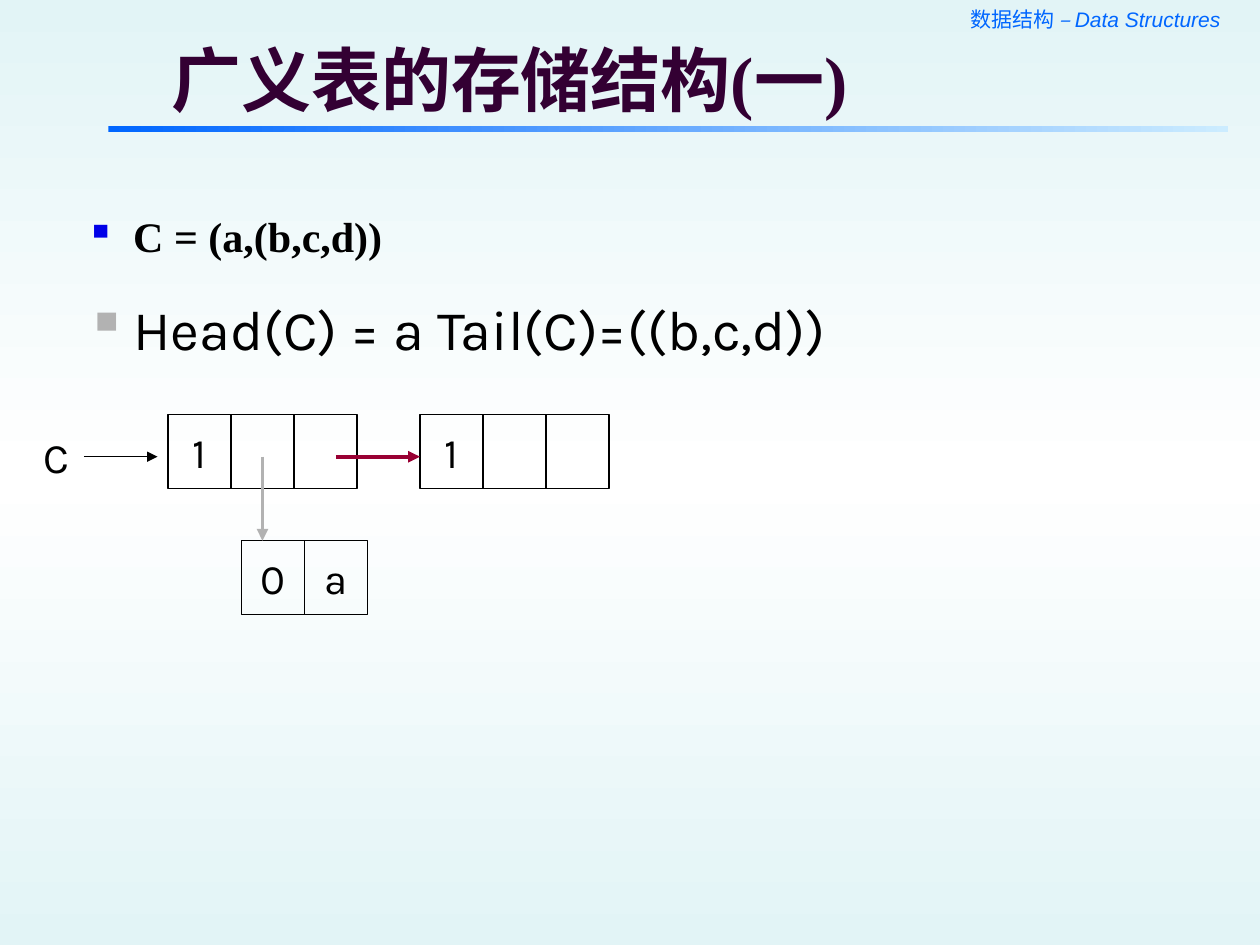
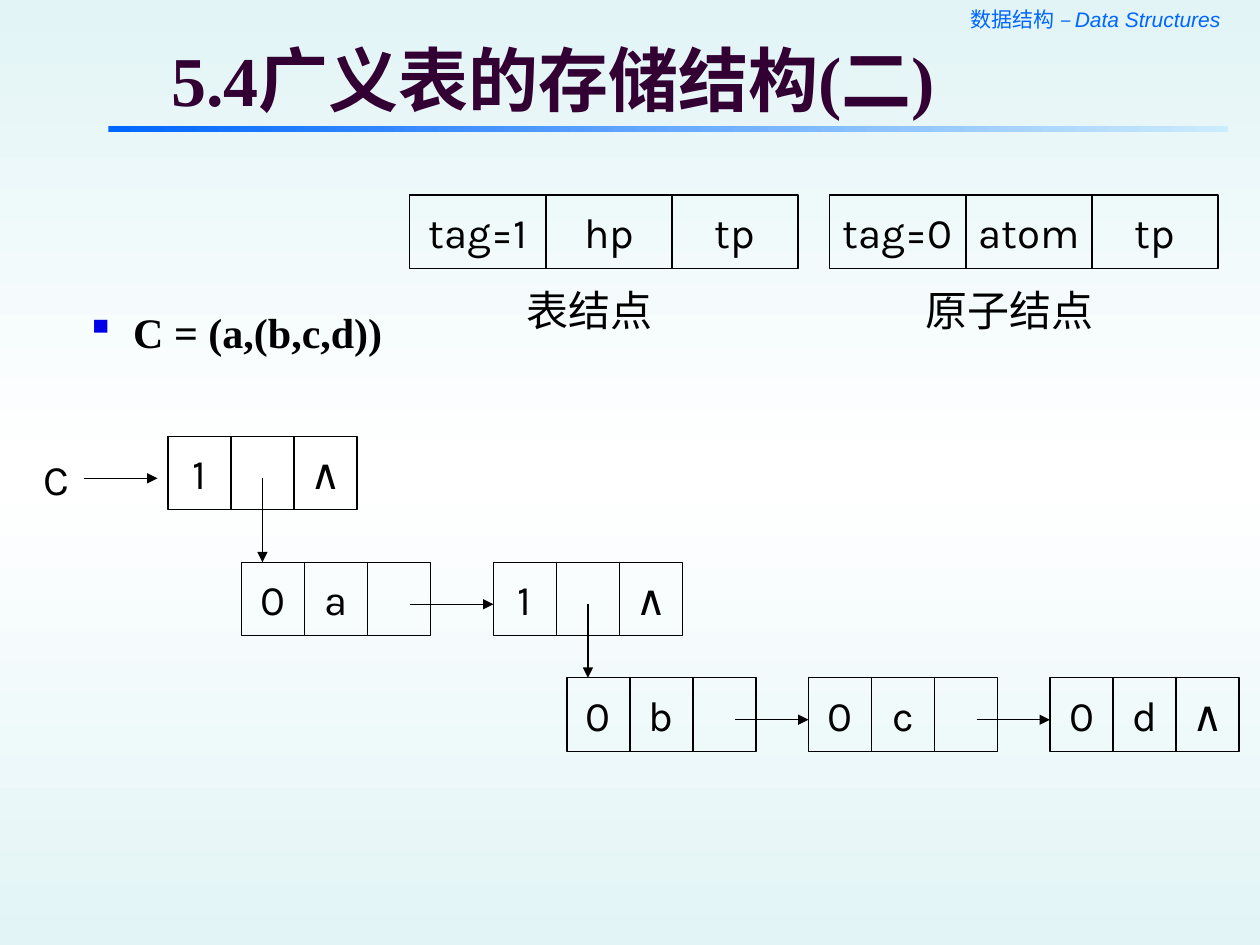
"""Two slides on how generalized lists are stored as linked nodes."""
import copy

import pptx
import pptx.dml.color
import pptx.enum.shapes
import pptx.enum.text
import pptx.oxml
import pptx.oxml.ns
import pptx.util

Pt = pptx.util.Pt
RGBColor = pptx.dml.color.RGBColor
ALIGN = pptx.enum.text.PP_ALIGN
MIDDLE = pptx.enum.text.MSO_ANCHOR.MIDDLE
RECTANGLE = pptx.enum.shapes.MSO_SHAPE.RECTANGLE
STRAIGHT = pptx.enum.shapes.MSO_CONNECTOR.STRAIGHT
qn = pptx.oxml.ns.qn

BLACK = RGBColor(0x00, 0x00, 0x00)
WHITE = RGBColor(0xFF, 0xFF, 0xFF)
PALE_TEAL = RGBColor(0xE2, 0xF4, 0xF6)
PALE_BLUE = RGBColor(0xCC, 0xEC, 0xFF)
BLUE = RGBColor(0x00, 0x66, 0xFF)
BULLET_BLUE = RGBColor(0x00, 0x00, 0xE8)
PURPLE = RGBColor(0x33, 0x00, 0x33)
GRAY = RGBColor(0xB2, 0xB2, 0xB2)
CRIMSON = RGBColor(0x99, 0x00, 0x33)

BODY_FONT = "Karla"
SERIF_FONT = "Times New Roman"
CELL_WIDTH, CELL_HEIGHT = 36, 42
POINTER_DROP = 24
NODE_WIDTHS = [CELL_WIDTH] * 3
RECORD_WIDTHS = [78, 72, 72]


def write(shape, text, name=BODY_FONT, size=24, color=BLACK, bold=False):
    """Put one formatted paragraph into a shape and return it."""
    frame = shape.text_frame
    frame.text = text
    paragraph = frame.paragraphs[0]
    for run in paragraph.runs:
        run.font.name = name
        run.font.size = Pt(size)
        run.font.color.rgb = color
        run.font.bold = bold
    return paragraph


def add_element(parent, tag, **attributes):
    """Append a DrawingML element to a parent and return it."""
    element = pptx.oxml.parse_xml(f"<a:{tag} {pptx.oxml.ns.nsdecls('a')}/>")
    for key, value in attributes.items():
        element.set(key, str(value))
    parent.append(element)
    return element


slides = [
    {
        "title": "广义表的存储结构(一)",
        "bullets": [
            ("C = (a,(b,c,d))", 117, SERIF_FONT, 24, True, BULLET_BLUE, 95000),
            ("Head(C) = a Tail(C)=((b,c,d))", 165, BODY_FONT, 32, False, GRAY, 100000),
        ],
        "labels": [("C", 18, 243, 30)],
        "nodes": [
            (96, 237, NODE_WIDTHS, ["1", "", ""]),
            (240, 237, NODE_WIDTHS, ["1", "", ""]),
            (138, 309, NODE_WIDTHS, ["0", "a"]),
        ],
        "arrows": [
            (48, 237, 42, 0, BLACK, 0.75),
            (150, 237, 0, 48, GRAY, 2.25),
            (192, 237, 48, 0, CRIMSON, 2.25),
        ],
    },
    {
        "title": "5.4广义表的存储结构(二)",
        "bullets": [
            ("C = (a,(b,c,d))", 171.5, SERIF_FONT, 24, True, BULLET_BLUE, 95000),
        ],
        "labels": [
            ("表结点", 294, 159, 90),
            ("原子结点", 522, 159, 114),
            ("C", 18, 255.5, 30),
        ],
        "nodes": [
            (234, 111.5, RECORD_WIDTHS, ["tag=1", "hp", "tp"]),
            (474, 111.5, RECORD_WIDTHS, ["tag=0", "atom", "tp"]),
            (96, 249.3, NODE_WIDTHS, ["1", "", "∧"]),
            (138, 321.3, NODE_WIDTHS, ["0", "a", ""]),
            (282, 321.3, NODE_WIDTHS, ["1", "", "∧"]),
            (324, 387.3, NODE_WIDTHS, ["0", "b", ""]),
            (462, 387.3, NODE_WIDTHS, ["0", "c", ""]),
            (600, 387.3, NODE_WIDTHS, ["0", "d", "∧"]),
        ],
        "arrows": [
            (48, 249.3, 42, 0, BLACK, 0.75),
            (150, 249.3, 0, 48, BLACK, 0.75),
            (234, 321.3, 48, 0, BLACK, 0.75),
            (336, 321.3, 0, 42, BLACK, 0.75),
            (420, 387.3, 42, 0, BLACK, 0.75),
            (558, 387.3, 42, 0, BLACK, 0.75),
        ],
    },
]

presentation = pptx.Presentation()
presentation.slide_width, presentation.slide_height = Pt(720), Pt(540)

master = presentation.slide_master
background = master.background.fill
background.gradient()
background.gradient_angle = 90
stop_list = master.element.find(".//" + qn("p:bg")).find(".//" + qn("a:gsLst"))
stop_list.insert(1, copy.deepcopy(stop_list[0]))
for stop, position, color in zip(
    background.gradient_stops, (0, 0.5, 1), (PALE_TEAL, WHITE, PALE_TEAL)
):
    stop.position = position
    stop.color.rgb = color

for content in slides:
    slide = presentation.slides.add_slide(presentation.slide_layouts[5])
    shapes = slide.shapes

    header = shapes.add_textbox(Pt(432), Pt(0), Pt(276), Pt(21.6))
    header.text_frame.word_wrap = True
    header.text_frame.margin_right = Pt(10.5)
    paragraph = write(header, "数据结构 ", SERIF_FONT, 12, BLUE)
    paragraph.alignment = ALIGN.RIGHT
    course = paragraph.add_run()
    course.text = "– Data Structures"
    course.font.name = "Arial"
    course.font.size = Pt(12)
    course.font.italic = True
    course.font.color.rgb = BLUE

    band = shapes.add_shape(RECTANGLE, Pt(62), Pt(72), Pt(640), Pt(3.6))
    band.shadow.inherit = False
    band.line.fill.background()
    band.fill.gradient()
    band.fill.gradient_angle = 0
    for stop, color in zip(band.fill.gradient_stops, (BLUE, PALE_BLUE)):
        stop.color.rgb = color

    title = shapes.title
    title.left, title.top, title.width, title.height = Pt(90.7), Pt(21), Pt(593.3), Pt(48)
    title.text_frame.auto_size = pptx.enum.text.MSO_AUTO_SIZE.NONE
    title.text_frame.vertical_anchor = MIDDLE
    title.text_frame.margin_top = title.text_frame.margin_bottom = Pt(3)
    paragraph = write(title, content["title"], SERIF_FONT, 40, PURPLE, True)
    paragraph.alignment = ALIGN.LEFT

    for text, top, font_name, size, bold, bullet_color, bullet_size in content["bullets"]:
        box = shapes.add_textbox(Pt(42), Pt(top), Pt(660), Pt(50))
        box.text_frame.word_wrap = True
        paragraph = write(box, text, font_name, size, BLACK, bold)
        properties = paragraph._p.get_or_add_pPr()
        properties.set("marL", str(Pt(27)))
        properties.set("indent", str(-Pt(27)))
        add_element(add_element(properties, "buClr"), "srgbClr", val=bullet_color)
        add_element(properties, "buSzPct", val=bullet_size)
        add_element(properties, "buChar", char="▪")

    for text, left, top, width in content["labels"]:
        label = shapes.add_textbox(Pt(left), Pt(top), Pt(width), Pt(36))
        label.text_frame.word_wrap = True
        write(label, text)

    for left, top, widths, fields in content["nodes"]:
        for width, field in zip(widths, fields):
            cell = shapes.add_shape(RECTANGLE, Pt(left), Pt(top), Pt(width), Pt(CELL_HEIGHT))
            cell.shadow.inherit = False
            cell.fill.background()
            cell.line.color.rgb = BLACK
            cell.line.width = Pt(0.75)
            if field:
                cell.text_frame.word_wrap = False
                cell.text_frame.vertical_anchor = MIDDLE
                write(cell, field).alignment = ALIGN.CENTER
            left += width

    for left, node_top, across, down, color, weight in content["arrows"]:
        top = node_top + POINTER_DROP
        arrow = shapes.add_connector(
            STRAIGHT, Pt(left), Pt(top), Pt(left + across), Pt(top + down)
        )
        arrow.line.color.rgb = color
        arrow.line.width = Pt(weight)
        add_element(arrow.line._get_or_add_ln(), "tailEnd", type="triangle")
        add_element(arrow._element.spPr, "effectLst")

presentation.save("out.pptx")
